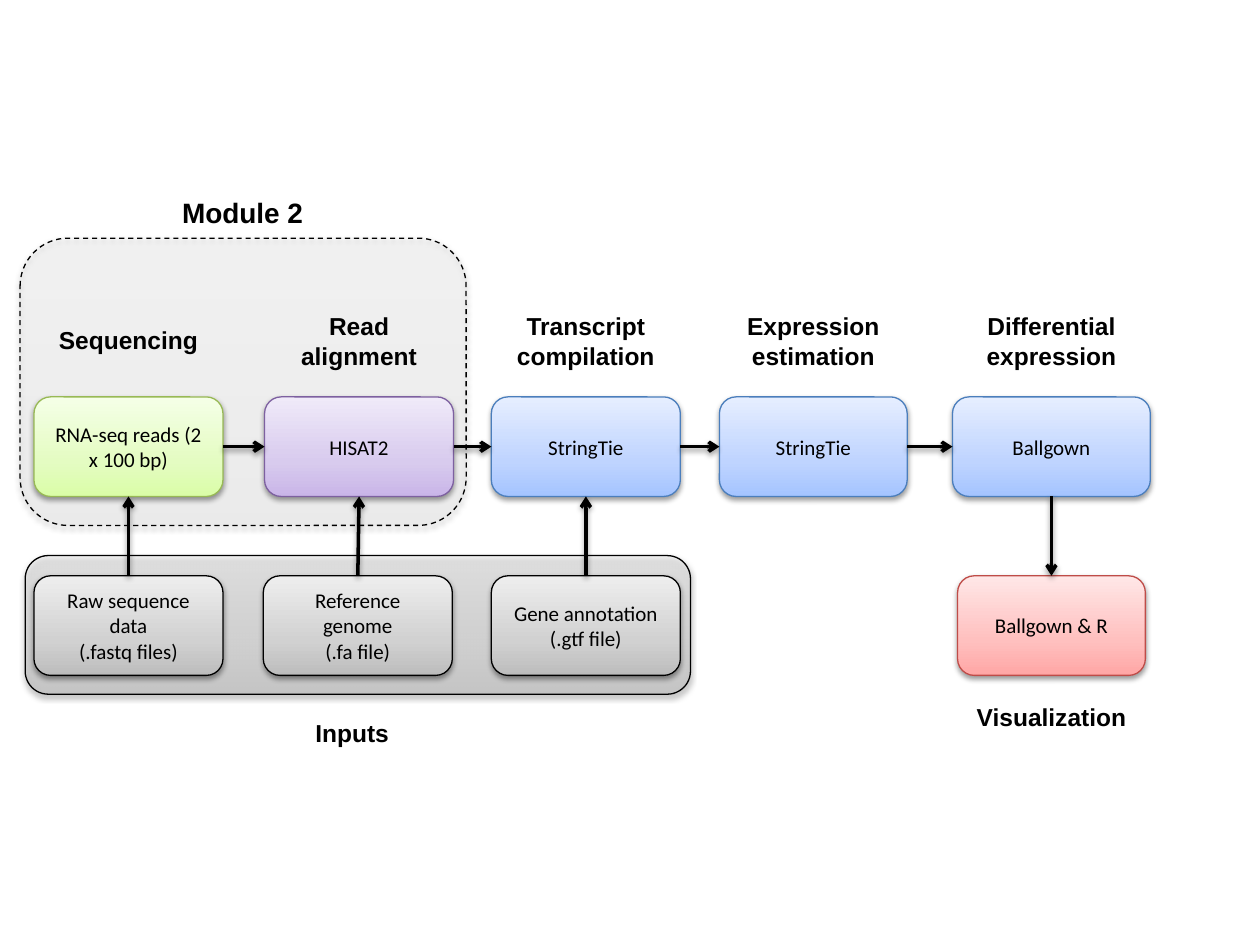
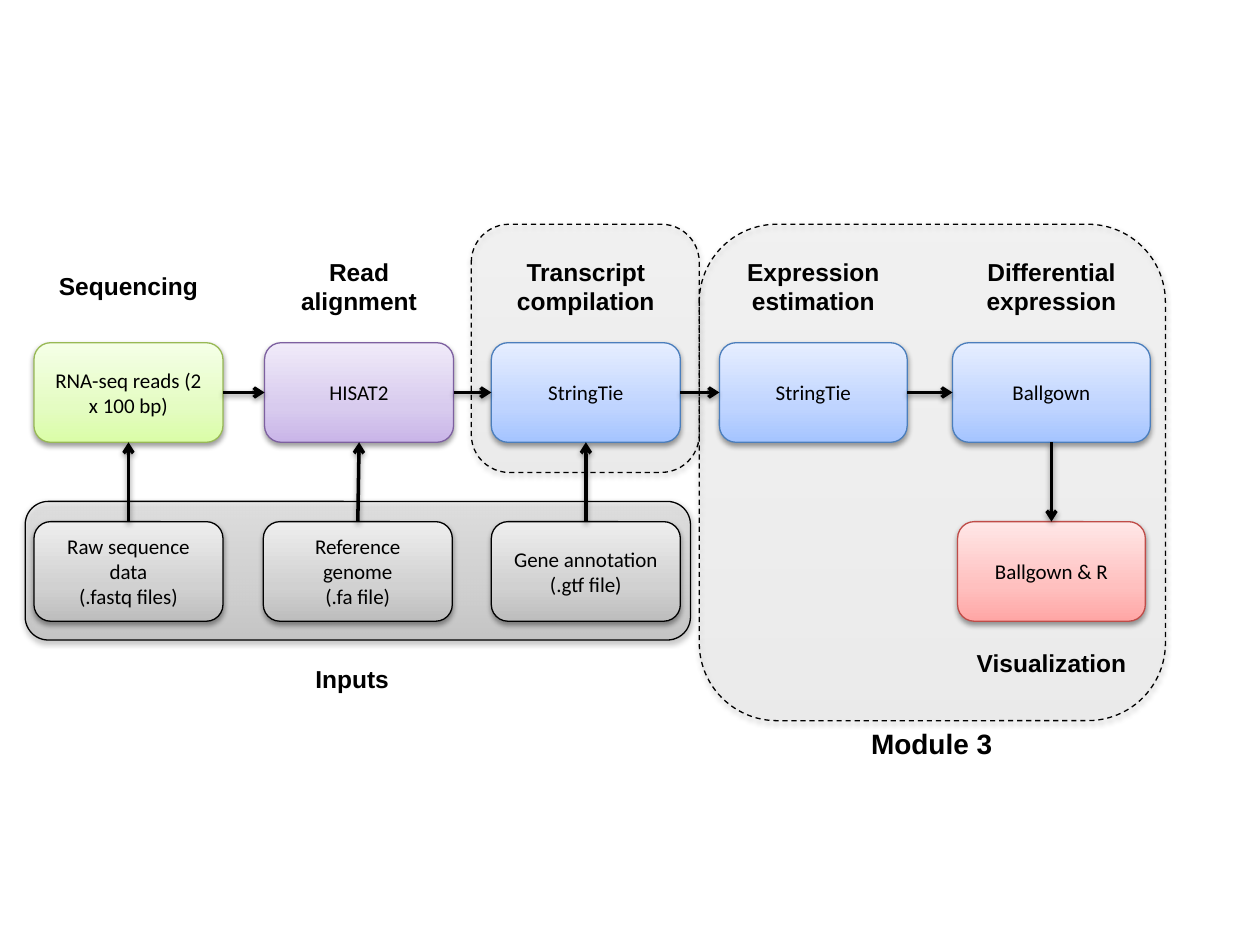
from pptx import Presentation
from pptx.dml.color import RGBColor
from pptx.enum.dml import MSO_LINE
from pptx.enum.shapes import MSO_CONNECTOR, MSO_SHAPE
from pptx.enum.text import MSO_ANCHOR, PP_ALIGN
from pptx.oxml import parse_xml
from pptx.oxml.ns import nsdecls, qn
from pptx.util import Inches, Pt

BLACK = RGBColor(0x00, 0x00, 0x00)


def palette(line, *stops):
    return RGBColor.from_string(line), [RGBColor.from_string(stop) for stop in stops]


GREEN = palette("98B955", "DAFDA7", "E4FCC2", "F5FFE7")
PURPLE = palette("7D60A0", "C9B5E8", "D8CBEE", "F0EAF9")
BLUE = palette("4B7EBC", "A4C4FF", "BFD4FF", "E6EEFF")
RED = palette("BF4C48", "FFA6A5", "FFC0BF", "FFE7E7")
GRAY = palette("000000", "BDBDBD", "D1D1D1", "EEEEEE")
STOP_POSITIONS = (0, 35, 100)

TOP, LEFT, BOTTOM, RIGHT = range(4)
BOX_HEIGHT = 0.79
INPUT_DROP = 1.42

STEPS = [
    ("RNA-seq reads (2 x 100 bp)", GREEN, 0.27, 1.5, "Sequencing", 1.31),
    ("HISAT2", PURPLE, 2.1, 1.5, "Read alignment", 1.36),
    ("StringTie", BLUE, 3.9, 1.5, "Transcript compilation", 1.81),
    ("StringTie", BLUE, 5.71, 1.49, "Expression estimation", 1.81),
    ("Ballgown", BLUE, 7.56, 1.57, "Differential expression", 1.81),
]
INPUTS = [
    ("Raw sequence data\n(.fastq files)", 0.27),
    ("Reference genome\n(.fa file)", 2.09),
    ("Gene annotation\n(.gtf file)", 3.9),
]


def add_shadow(properties):
    effects = properties.find(qn("a:effectLst"))
    if effects is not None:
        properties.remove(effects)
    properties.append(parse_xml(
        f'<a:effectLst {nsdecls("a")}>'
        '<a:outerShdw blurRad="40000" dist="20000" dir="5400000" rotWithShape="0">'
        '<a:srgbClr val="000000"><a:alpha val="38000"/></a:srgbClr>'
        '</a:outerShdw></a:effectLst>'))


def set_gradient(shape, colors, opacity):
    shape.fill.gradient()
    stops = "".join(
        f'<a:gs pos="{position * 1000}"><a:srgbClr val="{color}">'
        f'<a:alpha val="{opacity * 1000}"/></a:srgbClr></a:gs>'
        for position, color in zip(STOP_POSITIONS, colors))
    properties = shape.element.spPr
    properties.replace(properties.find(qn("a:gradFill")), parse_xml(
        f'<a:gradFill {nsdecls("a")} rotWithShape="1"><a:gsLst>{stops}</a:gsLst>'
        '<a:lin ang="16200000" scaled="0"/></a:gradFill>'))


def add_panel(page, left, top, width, height, colors=GRAY, opacity=100, dashed=False):
    panel = page.shapes.add_shape(
        MSO_SHAPE.ROUNDED_RECTANGLE,
        Inches(left), Inches(top), Inches(width), Inches(height))
    line_color, stops = colors
    set_gradient(panel, stops, opacity)
    panel.line.color.rgb = line_color
    panel.line.width = Pt(0.75)
    if dashed:
        panel.line.dash_style = MSO_LINE.DASH
    panel.shadow.inherit = False
    add_shadow(panel.element.spPr)
    return panel


def write_text(frame, text, font_name, size, bold=False):
    frame.text = text
    for para in frame.paragraphs:
        para.alignment = PP_ALIGN.CENTER
        para.font.name = font_name
        para.font.size = Pt(size)
        para.font.bold = bold
        para.font.color.rgb = BLACK


def add_box(page, text, left, top, width, colors):
    box = add_panel(page, left, top, width, BOX_HEIGHT, colors)
    box.text_frame.vertical_anchor = MSO_ANCHOR.MIDDLE
    write_text(box.text_frame, text, "Calibri", 12)
    return box


def add_label(page, text, left, top, width, height=0.34, size=14):
    label = page.shapes.add_textbox(
        Inches(left), Inches(top), Inches(width), Inches(height))
    label.text_frame.word_wrap = height > 0.5
    write_text(label.text_frame, text, "Arial", size, bold=True)


def add_arrow(page, source, source_side, target, target_side):
    arrow = page.shapes.add_connector(MSO_CONNECTOR.STRAIGHT, 0, 0, 0, 0)
    arrow.begin_connect(source, source_side)
    arrow.end_connect(target, target_side)
    arrow.line.color.rgb = BLACK
    arrow.line.width = Pt(2)
    arrow.line._get_or_add_ln().append(
        parse_xml(f'<a:tailEnd {nsdecls("a")} type="arrow"/>'))
    add_shadow(arrow.element.spPr)


def add_module(page, left, top, width, height):
    add_panel(page, left, top, width, height, opacity=13, dashed=True)


def add_module_title(page, text, left, top):
    add_label(page, text, left, top, 1.17, 0.37, 16)


def draw_steps(page, top):
    boxes = []
    for text, colors, left, width, caption, caption_width in STEPS:
        boxes.append(add_box(page, text, left, top, width, colors))
        caption_left = left + (width - caption_width) / 2
        if " " in caption:
            add_label(page, caption, caption_left, top - 0.73, caption_width, 0.57)
        else:
            add_label(page, caption, caption_left, top - 0.62, caption_width)
    for source, target in zip(boxes, boxes[1:]):
        add_arrow(page, source, RIGHT, target, LEFT)
    return boxes


def draw_visualization(page, top, source):
    box = add_box(page, "Ballgown & R", 7.6, top, 1.49, RED)
    add_label(page, "Visualization", 7.44, top + 0.95, 1.81)
    add_arrow(page, source, BOTTOM, box, TOP)


def draw_inputs(page, top, steps):
    for (text, left), step in zip(INPUTS, steps):
        box = add_box(page, text, left, top, 1.5, GRAY)
        add_arrow(page, box, TOP, step, BOTTOM)
    add_label(page, "Inputs", 2.4, top + 1.08, 0.79)


def draw_pipeline(page, top):
    add_panel(page, 0.2, top + 1.26, 5.28, 1.1, opacity=51)
    steps = draw_steps(page, top)
    draw_visualization(page, top + INPUT_DROP, steps[-1])
    draw_inputs(page, top + INPUT_DROP, steps)


def build_alignment_page(page):
    add_module(page, 0.16, 1.89, 3.54, 2.28)
    draw_pipeline(page, 3.15)
    add_module_title(page, "Module 2", 1.34, 1.5)


def build_expression_page(page):
    add_module(page, 3.74, 1.78, 1.81, 1.97)
    add_module(page, 5.55, 1.78, 3.7, 3.94)
    add_module_title(page, "Module 3", 6.81, 5.72)
    draw_pipeline(page, 2.72)


def main():
    deck = Presentation()
    deck.slide_width, deck.slide_height = Inches(10), Inches(7.5)
    for build_page in (build_alignment_page, build_expression_page):
        build_page(deck.slides.add_slide(deck.slide_layouts[6]))
    deck.save("out.pptx")


if __name__ == "__main__":
    main()
